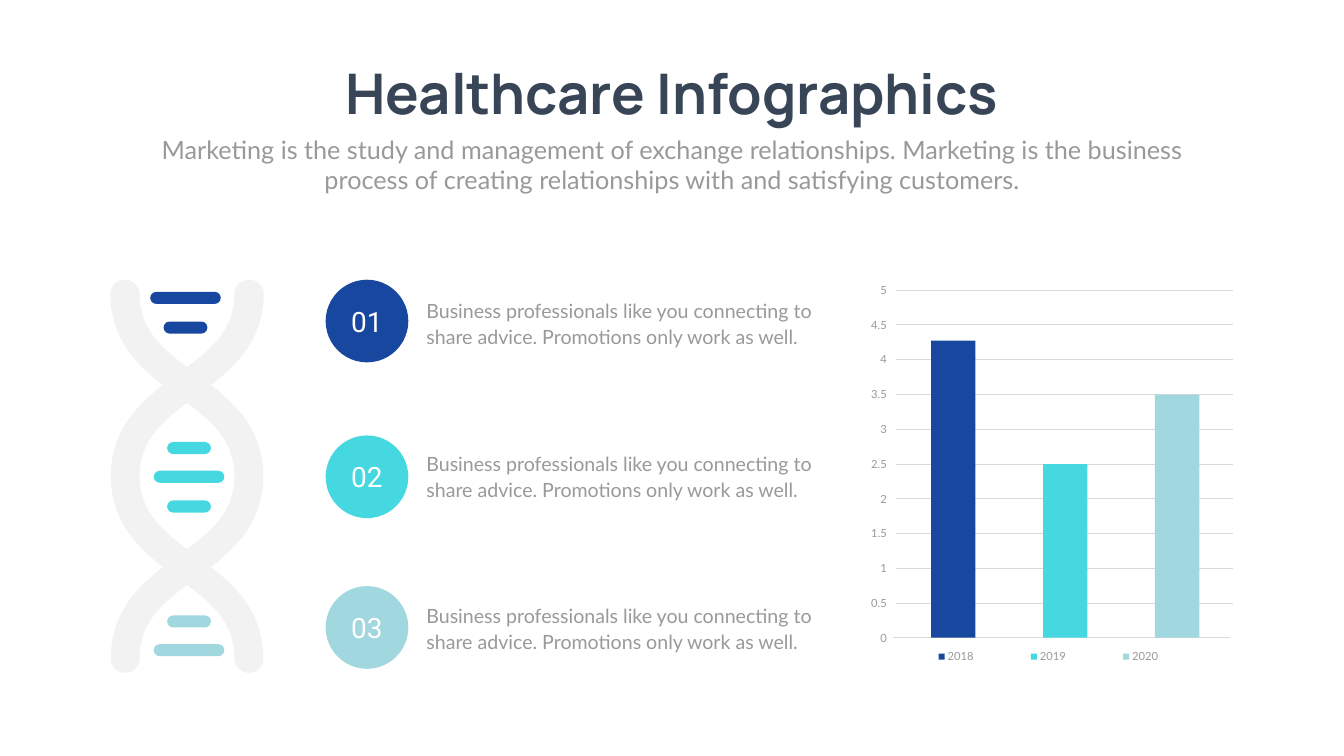
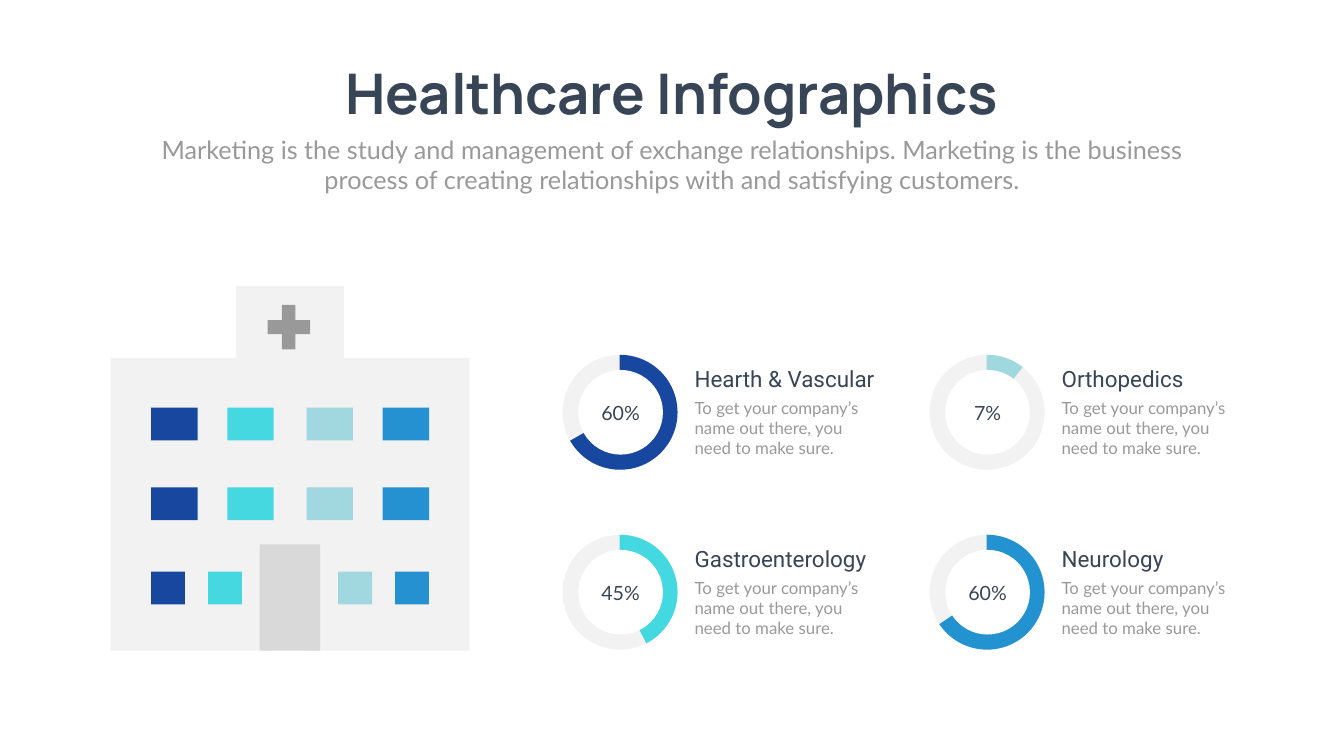
from lxml import etree
from pptx import Presentation
from pptx.dml.color import RGBColor
from pptx.enum import shapes, text
from pptx.oxml.ns import qn
from pptx.util import Emu, Pt

# Grid: one column and one row are each an inch
COLS, ROWS, UNIT = 26.66, 15, 914400

# Shared palette and fonts
BLUE, CYAN, MIST, SKY = "18479F", "45D8E0", "A1D7DF", "2591D0"
INK, GRAY, PALE, RULE, WHITE = "374556", "999999", "F2F2F2", "D9D9D9", "FFFFFF"
HEAD, SANS, BODY = "Manrope", "Roboto", "Lato"
TITLE = "Healthcare Infographics"
LEAD = ("Marketing is the study and management of exchange relationships. "
        "Marketing is the business process of creating relationships with "
        "and satisfying customers.")
ADVICE = ("Business professionals like you connecting to share advice. "
          "Promotions only work as well.")
NOTE = "To get your company’s name out there, you need to make sure."
ALIGN = text.PP_ALIGN
KIND = shapes.MSO_SHAPE


def cell(n):
    return Emu(round(n * UNIT))


def area(*box):
    return [cell(n) for n in box]


def paint(fill, color):
    fill.solid()
    fill.fore_color.rgb = RGBColor.from_string(color)


def write(frame, words, size, name, color, align=ALIGN.LEFT, bold=False,
          line=None, anchor=text.MSO_ANCHOR.TOP):
    frame.word_wrap = True
    frame.auto_size = text.MSO_AUTO_SIZE.NONE
    frame.vertical_anchor = anchor
    para = frame.paragraphs[0]
    para.alignment = align
    para.space_before = Pt(0)
    if line:
        para.line_spacing = Pt(line)
    run = para.add_run()
    run.text = words
    font = run.font
    font.size, font.name, font.bold = Pt(size), name, bold
    font.color.rgb = RGBColor.from_string(color)


def label(slide, box, *args, **kw):
    write(slide.shapes.add_textbox(*area(*box)).text_frame, *args, **kw)


def finish(shape, color):
    paint(shape.fill, color)
    shape.line.fill.background()
    shape.shadow.inherit = False
    return shape


def block(slide, kind, box, color):
    return finish(slide.shapes.add_shape(kind, *area(*box)), color)


def outline(slide, points, color):
    spots = [area(*p) for p in points]
    form = slide.shapes.build_freeform(*spots[0], scale=1.0)
    form.add_line_segments(spots[1:], close=True)
    return finish(form.convert_to_shape(), color)


def curve(slide, first, parts, color):
    """Draw a closed outline of cubic curves."""
    shape = outline(slide, [first] + [part[-1] for part in parts], color)
    steps = list(shape.element.iter(qn("a:lnTo")))
    for step, part in zip(steps, parts):
        bend = etree.Element(qn("a:cubicBezTo"))
        for x, y in part:
            spot = etree.SubElement(bend, qn("a:pt"))
            spot.set("x", str(cell(x) - shape.left))
            spot.set("y", str(cell(y) - shape.top))
        step.getparent().replace(step, bend)


def rule(slide, left, right, y):
    line = slide.shapes.add_connector(shapes.MSO_CONNECTOR.STRAIGHT,
                                      *area(left, y, right, y))
    paint(line.line.fill, RULE)
    line.line.width = Pt(0.5)
    etree.SubElement(line.element.spPr, qn("a:effectLst"))


def start(deck):
    """Add a slide with the shared heading."""
    slide = deck.slides.add_slide(deck.slide_layouts[0])
    title, lead = slide.placeholders
    for shape, box in ((title, (6.2, 1.12, 14.26, 1.45)),
                       (lead, (2.92, 2.61, 20.82, 1.31))):
        shape.left, shape.top, shape.width, shape.height = area(*box)
    write(title.text_frame, TITLE, 80, HEAD, INK, ALIGN.CENTER, True)
    write(lead.text_frame, LEAD, 36, BODY, GRAY, ALIGN.CENTER)
    return slide


# Parts of the first slide
def helix(slide):
    first = (4.94, 13.35)
    strand = [
        ((4.78, 13.35), (4.65, 13.22), (4.65, 13.06)),
        ((4.65, 12.3), (4.14, 11.92), (3.54, 11.48)),
        ((2.91, 11.02), (2.2, 10.49), (2.2, 9.45)),
        ((2.2, 8.4), (2.91, 7.87), (3.54, 7.41)),
        ((4.14, 6.97), (4.65, 6.59), (4.65, 5.83)),
        ((4.65, 5.68), (4.78, 5.55), (4.94, 5.55)),
        ((5.1, 5.55), (5.23, 5.68), (5.23, 5.83)),
        ((5.23, 6.88), (4.51, 7.41), (3.88, 7.87)),
        ((3.28, 8.31), (2.77, 8.69), (2.77, 9.45)),
        ((2.77, 10.2), (3.28, 10.58), (3.88, 11.02)),
        ((4.51, 11.49), (5.22, 12.01), (5.22, 13.06)),
        ((5.23, 13.22), (5.1, 13.35), (4.94, 13.35))]

    def flip(spot):
        return 7.42 - spot[0], spot[1]

    curve(slide, first, strand, PALE)
    curve(slide, flip(first), [[flip(p) for p in part] for part in strand],
          PALE)
    wide, slim = 1.4, 0.87
    for mid, top, width, color in (
            (3.68, 5.79, wide, BLUE), (3.68, 6.38, slim, BLUE),
            (3.75, 9.34, wide, CYAN), (3.75, 9.93, slim, CYAN),
            (3.75, 8.77, slim, CYAN),
            (3.75, 12.78, wide, MIST), (3.75, 12.21, slim, MIST)):
        rung = block(slide, KIND.ROUNDED_RECTANGLE,
                     (mid - width / 2, top, width, 0.24), color)
        rung.adjustments[0] = 0.5


def point(slide, num, top, line, color):
    label(slide, (8.36, line, 7.9, 1.13), ADVICE, 28, BODY, GRAY, line=36.6)
    disc = block(slide, KIND.OVAL, (6.46, top, 1.64, 1.64), color)
    write(disc.text_frame, num, 40, SANS, WHITE, ALIGN.CENTER,
          anchor=text.MSO_ANCHOR.MIDDLE)


def bars(slide):
    base, step, peak = 12.65, 0.69, 10
    # Rules, half a unit apart
    for i in range(peak + 1):
        shift = 0 if i else -0.06
        rule(slide, 17.78 + shift, 24.45 + shift, base - step * i)
    # Bars
    colors = (BLUE, CYAN, MIST)
    for i, (top, color) in enumerate(zip((6.76, 9.21, 7.83), colors)):
        block(slide, KIND.RECTANGLE,
              (18.47 + 2.22 * i, top, 0.88, base - top), color)
    # Scale
    for i in range(peak + 1):
        width = 0.57 if i % 2 else 0.43
        label(slide, (17.69 - width, base - 0.18 - step * i, width, 0.37),
              f"{i / 2:g}", 16, BODY, GRAY, ALIGN.RIGHT)
    # Key
    for i, color in enumerate(colors):
        left = 18.62 + 1.83 * i
        label(slide, (left + 0.08, 12.84, 0.8, 0.37), str(2018 + i),
              16, BODY, GRAY)
        block(slide, KIND.RECTANGLE, (left, 12.97, 0.12, 0.12), color)


# Parts of the second slide
def clinic(slide):
    outline(slide, [(9.31, 7.1), (6.82, 7.1), (6.82, 5.67), (4.68, 5.67),
                    (4.68, 7.1), (2.19, 7.1), (2.19, 12.91), (5.41, 12.91),
                    (5.41, 10.89), (6.07, 10.89), (6.07, 12.91),
                    (9.31, 12.91)], PALE)
    block(slide, KIND.RECTANGLE, (5.15, 10.8, 1.2, 2.11), RULE)
    upper, lower = (3, 4.51, 6.08, 7.59), (3, 4.13, 6.71, 7.84)
    for top, lefts, width in ((8.09, upper, 0.92), (9.67, upper, 0.92),
                              (11.34, lower, 0.67)):
        for left, color in zip(lefts, (BLUE, CYAN, MIST, SKY)):
            block(slide, KIND.RECTANGLE, (left, top, width, 0.65), color)
    outline(slide, [(5.59, 6.05), (5.86, 6.05), (5.86, 6.35), (6.15, 6.35),
                    (6.15, 6.63), (5.86, 6.63), (5.86, 6.93), (5.59, 6.93),
                    (5.59, 6.63), (5.31, 6.63), (5.31, 6.35), (5.59, 6.35)],
            GRAY)


def ring(slide, col, row, name, share, end, color):
    x, y = 11.16 + 7.28 * col, 7.04 + 3.57 * row
    disc = (x, y, 2.28, 2.28)
    block(slide, KIND.OVAL, disc, PALE)
    arc = block(slide, KIND.PIE, disc, color)
    # One degree is 0.6 in adjustment units
    arc.adjustments[0], arc.adjustments[1] = 269.44 * 0.6, end * 0.6
    block(slide, KIND.OVAL, (x + 0.31, y + 0.3, 1.68, 1.68), WHITE)
    label(slide, (x + 0.38, y + 0.87, 1.54, 0.57), share, 28, BODY, INK,
          ALIGN.CENTER)
    label(slide, (x + 2.52, y + 0.16, 3.75 if col else 4.99, 0.64), name,
          32, SANS, INK)
    label(slide, (x + 2.52, y + 0.8, 3.57, 1.31), NOTE, 24, BODY, GRAY)


def main():
    deck = Presentation()
    deck.slide_width, deck.slide_height = cell(COLS), cell(ROWS)
    paint(deck.slide_master.background.fill, "FEFFFE")

    # Helix, three points and bars
    slide = start(deck)
    helix(slide)
    point(slide, "01", 5.55, 5.84, BLUE)
    point(slide, "02", 8.64, 8.88, CYAN)
    point(slide, "03", 11.63, 11.89, MIST)
    bars(slide)

    # Clinic and four rings
    slide = start(deck)
    ring(slide, 0, 0, "Hearth & Vascular", "60%", 150.36, BLUE)
    ring(slide, 1, 0, "Orthopedics", "7%", 308.24, "A0D8E0")
    ring(slide, 0, 1, "Gastroenterology", "45%", 62.76, "44D8E1")
    ring(slide, 1, 1, "Neurology", "60%", 146.22, "2392D1")
    clinic(slide)

    deck.save("out.pptx")


if __name__ == "__main__":
    main()
